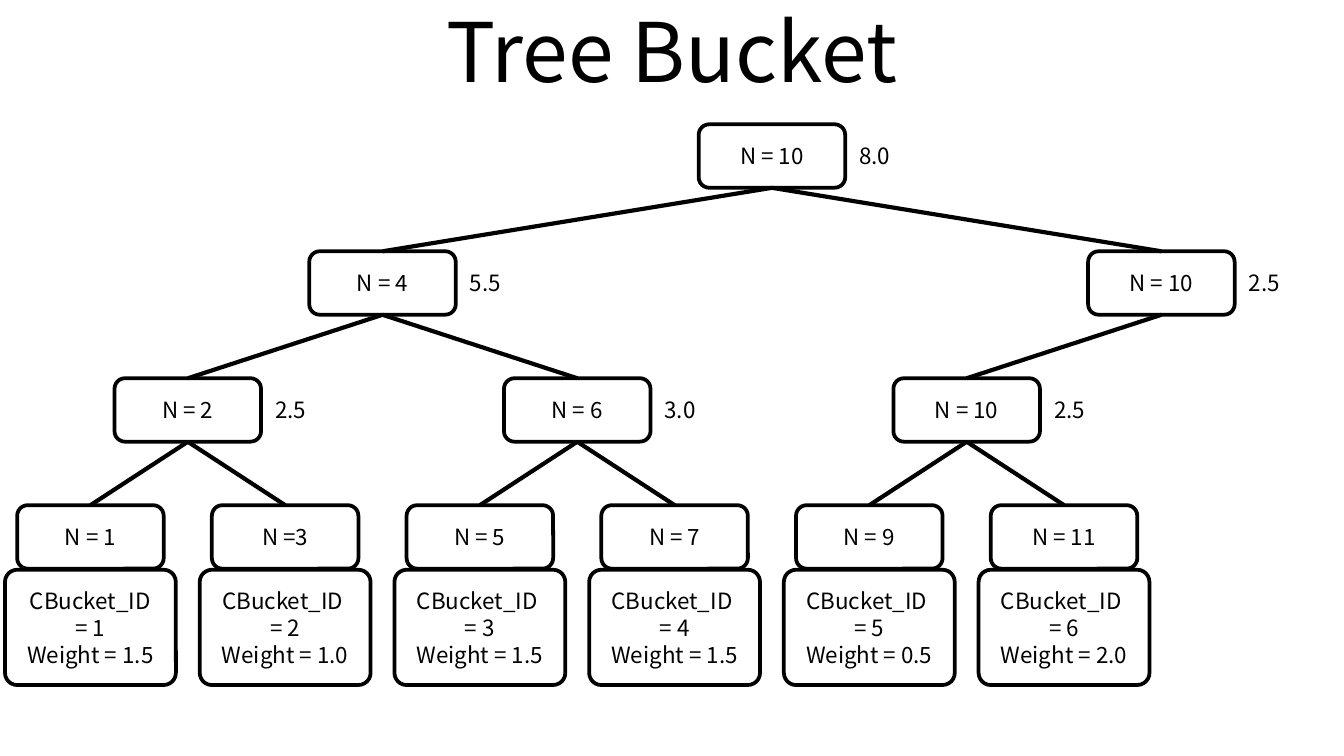
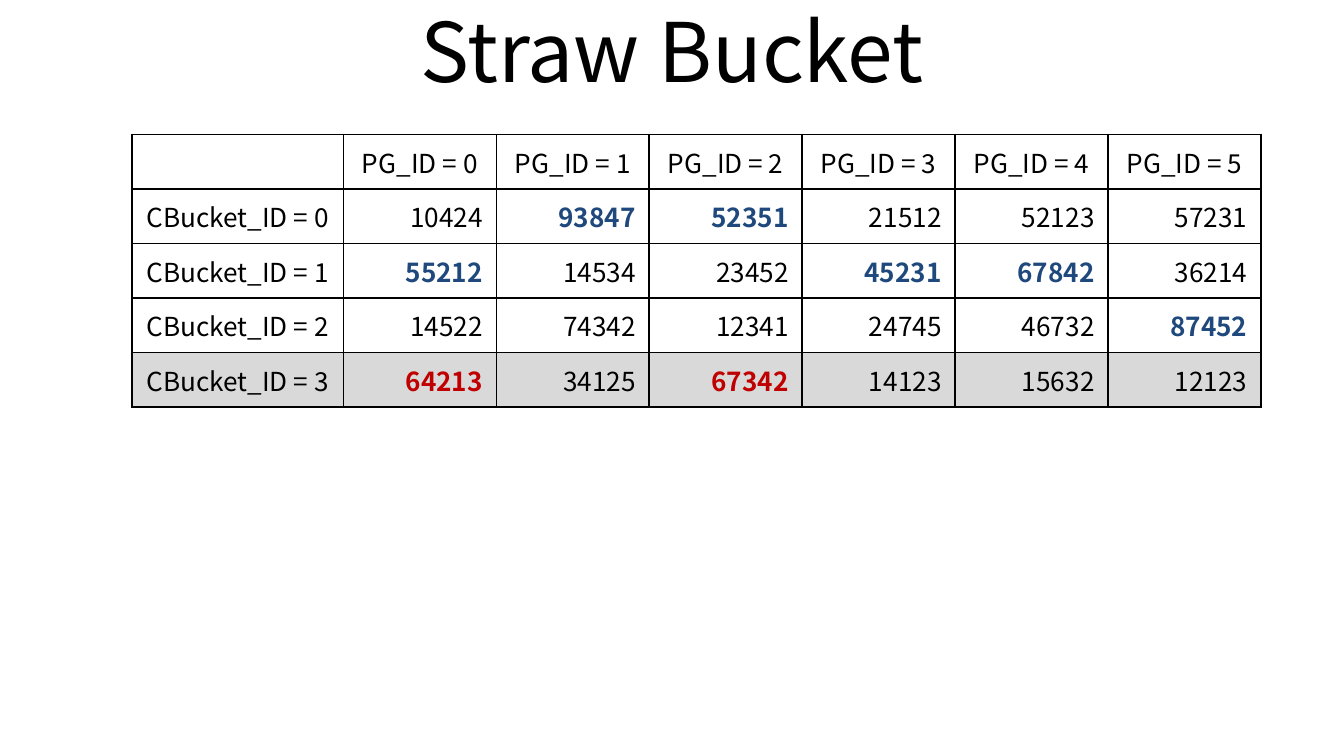
from typing import NamedTuple

from pptx import Presentation
from pptx import util as u
from pptx.dml.color import RGBColor
from pptx.enum import shapes, text
from pptx.oxml import parse_xml
from pptx.oxml.ns import nsdecls
from pptx.util import Cm

FONT = "Noto Sans CJK KR"
BLACK, WHITE = "000000", "FFFFFF"
BLUE, RED, GREY = "1F497D", "C00000", "D9D9D9"
TITLE_ONLY = 5

# Tree grid, in cm: one slot per leaf, one level per row of nodes
FIRST_CENTRE, SLOT_PITCH = 1.71, 3.68
FIRST_TOP, LEVEL_PITCH = 2.35, 2.4
NODE_WIDTH, NODE_HEIGHT = 2.77, 1.2
BUCKET_TOP, BUCKET_WIDTH, BUCKET_HEIGHT = 10.77, 3.23, 2.18


class Node(NamedTuple):
    label: str
    weight: str = ""
    children: tuple = ()
    bucket: str = ""


TREE = Node("N = 10", "8.0", (
    Node("N = 4", "5.5", (
        Node("N = 2", "2.5", (
            Node("N = 1", bucket="CBucket_ID = 1\nWeight = 1.5"),
            Node("N =3", bucket="CBucket_ID \n= 2\nWeight = 1.0"))),
        Node("N = 6", "3.0", (
            Node("N = 5", bucket="CBucket_ID \n= 3\nWeight = 1.5"),
            Node("N = 7", bucket="CBucket_ID \n= 4\nWeight = 1.5"))))),
    Node("N = 10", "2.5", (
        Node("N = 10", "2.5", (
            Node("N = 9", bucket="CBucket_ID \n= 5\nWeight = 0.5"),
            Node("N = 11", bucket="CBucket_ID \n= 6\nWeight = 2.0"))),))))

STRAWS = [
    [10424, 93847, 52351, 21512, 52123, 57231],
    [55212, 14534, 23452, 45231, 67842, 36214],
    [14522, 74342, 12341, 24745, 46732, 87452],
    [64213, 34125, 67342, 14123, 15632, 12123],
]
ADDED_BUCKET = 3


def rgb(hex_colour):
    return RGBColor.from_string(hex_colour)


def write(frame, content, size=12, colour=BLACK, bold=False,
          align=text.PP_ALIGN.CENTER):
    """Fill a text frame, one paragraph for each line of content."""
    frame.text = content
    for paragraph in frame.paragraphs:
        paragraph.alignment = align
        font = paragraph.font
        font.name, font.size, font.bold = FONT, u.Pt(size), bold
        font.color.rgb = rgb(colour)


def add_titled_slide(deck, heading):
    slide = deck.slides.add_slide(deck.slide_layouts[TITLE_ONLY])
    title = slide.shapes.title
    title.left, title.top = Cm(1.27), Cm(-0.25)
    title.width, title.height = Cm(22.86), Cm(2.39)
    write(title.text_frame, heading, size=44)
    title.text_frame.vertical_anchor = text.MSO_ANCHOR.MIDDLE
    return slide


def add_rounded_box(slide, centre, top, width, height, content, corner=0.167):
    box = slide.shapes.add_shape(
        shapes.MSO_SHAPE.ROUNDED_RECTANGLE,
        Cm(centre - width / 2), Cm(top), Cm(width), Cm(height))
    box.adjustments[0] = corner
    box.shadow.inherit = False
    box.fill.solid()
    box.fill.fore_color.rgb = rgb(WHITE)
    box.line.color.rgb = rgb(BLACK)
    box.line.width = u.Pt(2)
    box.text_frame.vertical_anchor = text.MSO_ANCHOR.MIDDLE
    write(box.text_frame, content)
    return box


def add_weight(slide, left, top, weight):
    label = slide.shapes.add_textbox(Cm(left), Cm(top), Cm(1.12), Cm(0.76))
    label.text_frame.word_wrap = False
    label.text_frame.vertical_anchor = text.MSO_ANCHOR.MIDDLE
    write(label.text_frame, weight)


def add_branch(slide, parent, child):
    branch = slide.shapes.add_connector(shapes.MSO_CONNECTOR.STRAIGHT, 0, 0, 0, 0)
    branch.begin_connect(parent, 2)
    branch.end_connect(child, 0)
    branch.line.color.rgb = rgb(BLACK)
    branch.line.width = u.Pt(2.25)
    effects = parse_xml(f"<a:effectLst {nsdecls('a')}/>")
    branch._element.spPr.append(effects)


def add_subtree(slide, node, slot, level=0):
    """Draw a node and all below it; children spread half as far per level."""
    centre = FIRST_CENTRE + slot * SLOT_PITCH
    top = FIRST_TOP + level * LEVEL_PITCH
    if node.bucket:
        add_rounded_box(slide, centre, BUCKET_TOP, BUCKET_WIDTH, BUCKET_HEIGHT,
                        node.bucket, corner=0.106)
    box = add_rounded_box(slide, centre, top, NODE_WIDTH, NODE_HEIGHT, node.label)
    if node.weight:
        add_weight(slide, centre + NODE_WIDTH / 2, top + 0.22, node.weight)
    spread = 2 / 2 ** level
    for child, offset in zip(node.children, (-spread, spread)):
        child_box = add_subtree(slide, child, slot + offset, level + 1)
        add_branch(slide, box, child_box)
    return box


def add_cell_borders(cell):
    properties = cell._tc.get_or_add_tcPr()
    for side in "LRTB":
        properties.append(parse_xml(
            f'<a:ln{side} {nsdecls("a")} w="{u.Pt(1)}"><a:solidFill>'
            f'<a:srgbClr val="{BLACK}"/></a:solidFill></a:ln{side}>'))


def format_cell(cell, fill, content, **text_format):
    add_cell_borders(cell)
    cell.vertical_anchor = text.MSO_ANCHOR.MIDDLE
    if fill:
        cell.fill.solid()
        cell.fill.fore_color.rgb = rgb(fill)
    else:
        cell.fill.background()
    write(cell.text_frame, content, size=14, **text_format)


def add_straw_table(slide):
    group_count = len(STRAWS[0])
    table = slide.shapes.add_table(
        len(STRAWS) + 1, group_count + 1,
        Cm(2.49), Cm(2.54), Cm(21.34), Cm(5.15)).table
    table.first_row = table.horz_banding = False
    for row in table.rows:
        row.height = Cm(1.03)
    for index, column in enumerate(table.columns):
        column.width = Cm(2.89 if index else 4)

    format_cell(table.cell(0, 0), None, "")
    for group in range(group_count):
        format_cell(table.cell(0, group + 1), None, f"PG_ID = {group}")

    first_winners = [max(draws) for draws in zip(*STRAWS[:ADDED_BUCKET])]
    for bucket, straws in enumerate(STRAWS):
        added = bucket == ADDED_BUCKET
        fill = GREY if added else None
        format_cell(table.cell(bucket + 1, 0), fill, f"CBucket_ID = {bucket} ")
        for group, straw in enumerate(straws):
            wins = straw >= first_winners[group]
            win_colour = RED if added else BLUE
            format_cell(table.cell(bucket + 1, group + 1), fill, str(straw),
                        colour=win_colour if wins else BLACK, bold=wins,
                        align=text.PP_ALIGN.RIGHT)


def main():
    deck = Presentation()
    deck.slide_width, deck.slide_height = Cm(25.4), Cm(14.29)
    add_subtree(add_titled_slide(deck, "Tree Bucket"), TREE, slot=3.5)
    add_straw_table(add_titled_slide(deck, "Straw Bucket"))
    deck.save("out.pptx")


if __name__ == "__main__":
    main()
